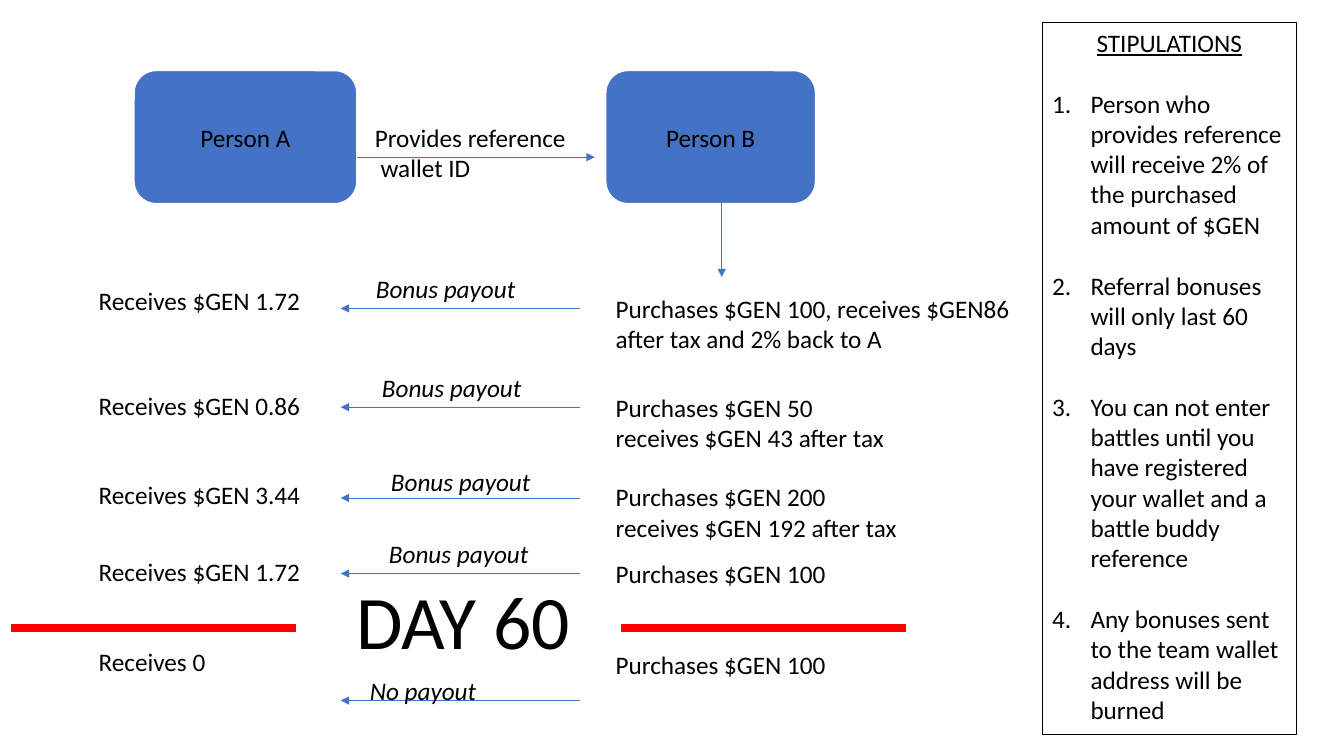
from collections import namedtuple

from lxml.etree import SubElement
from pptx import Presentation
from pptx.dml.color import RGBColor
from pptx.enum.shapes import MSO_CONNECTOR as Connector, MSO_SHAPE as Shape
from pptx.enum.text import MSO_ANCHOR as Anchor, PP_ALIGN as Align
from pptx.oxml.ns import qn
from pptx.util import Inches, Pt

BLUE = RGBColor(0x44, 0x72, 0xC4)
RED = RGBColor(0xFF, 0x00, 0x00)
BLACK = RGBColor(0x00, 0x00, 0x00)
WHITE = RGBColor(0xFF, 0xFF, 0xFF)
FONT = "Calibri"

# Grid of tenth-inch cells: every length below counts columns and rows
CELL = Inches(0.1)
COLUMNS, ROWS = 133.33, 75

Box = namedtuple("Box", "left top width height")
Payout = namedtuple("Payout", "top received purchase purchase_drop "
                              "label label_at label_drop arrow_drop")


def place(box, left, top, width, height):
    """Cells inside a box, as slide lengths."""
    cells = (box.left + left, box.top + top, width, height)
    return [round(cell * CELL) for cell in cells]


def write(frame, text, size=18, italic=False, align=Align.LEFT):
    frame.word_wrap = True
    frame.text = text
    for paragraph in frame.paragraphs:
        paragraph.alignment = align
        for run in paragraph.runs:
            run.font.name = FONT
            run.font.size = Pt(size)
            run.font.italic = italic
            run.font.color.rgb = BLACK


def add_label(slide, box, left, top, width, height, text, **style):
    label = slide.shapes.add_textbox(*place(box, left, top, width, height))
    write(label.text_frame, text, **style)
    return label


def add_line(slide, box, start, end, color=BLUE, weight=0.5, arrow=True):
    ends = [round((origin + cell) * CELL) for point in (start, end)
            for origin, cell in zip((box.left, box.top), point)]
    line = slide.shapes.add_connector(Connector.STRAIGHT, *ends)
    line.line.color.rgb = color
    line.line.width = Pt(weight)
    if arrow:
        SubElement(line.line._get_or_add_ln(), qn("a:tailEnd"), type="triangle")
    SubElement(line._element.spPr, qn("a:effectLst"))


def draw_referral(slide, box):
    """Both people, the reference between them and the way to the purchases."""
    for name, left, width in (("Person A", 0, 22.1), ("Person B", 46.8, 20.8)):
        person = slide.shapes.add_shape(
            Shape.ROUNDED_RECTANGLE, *place(box, left, 0, width, 13.2))
        person.shadow.inherit = False
        person.fill.solid()
        person.fill.fore_color.rgb = BLUE
        person.line.color.rgb = WHITE
        person.line.width = Pt(1)
        write(person.text_frame, name, align=Align.CENTER)
    add_line(slide, box, (22.1, 8.6), (45.7, 8.6))
    add_line(slide, box, (58.3, 10.7), (58.3, 20.5))
    add_label(slide, box, 22.9, 4.6, 25.2, 7.1,
              "Provides reference \n wallet ID")


def draw_payout(slide, box, payout):
    """One purchase by B and the bonus A gets for it."""
    add_label(slide, box, 51.3, payout.purchase_drop, 44.4,
              7.1, payout.purchase)
    add_label(slide, box, 0, 0, 25.2, 4, payout.received)
    add_line(slide, box, (48.7, payout.arrow_drop), (25, payout.arrow_drop))
    add_label(slide, box, payout.label_at, payout.label_drop, 22.1, 4,
              payout.label, italic=True)


def draw_deadline(slide, box):
    """Red rule broken by the day on which bonuses end."""
    for start in (0, 60.5):
        add_line(slide, box, (start, 5.9), (start + 28.3, 5.9),
                 RED, 6, arrow=False)
    day = add_label(slide, box, 33.1, 0, 23.5, 10.1, "DAY 60",
                    size=54, align=Align.CENTER)
    day.text_frame.word_wrap = False


def draw_stipulations(slide, box, heading, rules):
    """Framed, numbered list of rules."""
    panel = slide.shapes.add_shape(
        Shape.RECTANGLE, *place(box, 0, 0, box.width, box.height))
    panel.shadow.inherit = False
    panel.fill.background()
    panel.line.color.rgb = BLACK
    panel.line.width = Pt(0.75)
    frame = panel.text_frame
    frame.vertical_anchor = Anchor.TOP
    write(frame, "\n".join([heading, *rules]))
    title, *items = frame.paragraphs
    title.alignment = Align.CENTER
    title.runs[0].font.underline = True
    for item in items:
        item.space_before = Pt(21.9)
        numbering = item._p.get_or_add_pPr()
        numbering.set("marL", str(Inches(0.38)))
        numbering.set("indent", str(-Inches(0.38)))
        SubElement(numbering, qn("a:buFont"), typeface="+mj-lt")
        SubElement(numbering, qn("a:buAutoNum"), type="arabicPeriod")


PAYOUTS = [
    Payout(27.8, "Receives $GEN 1.72",
           "Purchases $GEN 100, receives $GEN86 after tax and 2% back to A",
           0.8, "Bonus payout", 27.5, -1.2, 2.8),
    Payout(38.2, "Receives $GEN 0.86",
           "Purchases $GEN 50\nreceives $GEN 43 after tax",
           0.2, "Bonus payout", 28.1, -1.8, 2.2),
    Payout(47.1, "Receives $GEN 3.44",
           "Purchases $GEN 200\nreceives $GEN 192 after tax",
           0.2, "Bonus payout", 29, -1.3, 2.3),
    Payout(54.7, "Receives $GEN 1.72", "Purchases $GEN 100",
           0.2, "Bonus payout", 28.8, -1.8, 2.2),
    Payout(63.6, "Receives 0", "Purchases $GEN 100",
           0.3, "No payout", 26.9, 2.9, 5.9),
]
STIPULATIONS = [
    "Person who provides reference will receive 2% of the purchased "
    "amount of $GEN",
    "Referral bonuses will only last 60 days",
    "You can not enter battles until you have registered your wallet "
    "and a battle buddy reference",
    "Any bonuses sent to the team wallet address will be burned",
]

deck = Presentation()
deck.slide_width = round(COLUMNS * CELL)
deck.slide_height = ROWS * CELL
bonus_slide = deck.slides.add_slide(deck.slide_layouts[6])

draw_referral(bonus_slide, Box(13.3, 7, 67.6, 20.5))
for payout in PAYOUTS:
    draw_payout(bonus_slide, Box(8.8, payout.top, 95.7, 7.9), payout)
draw_deadline(bonus_slide, Box(1.1, 56.4, 88.8, 10.1))
draw_stipulations(bonus_slide, Box(103.4, 2.2, 25.2, 70.7),
                  "STIPULATIONS", STIPULATIONS)

deck.save("out.pptx")
